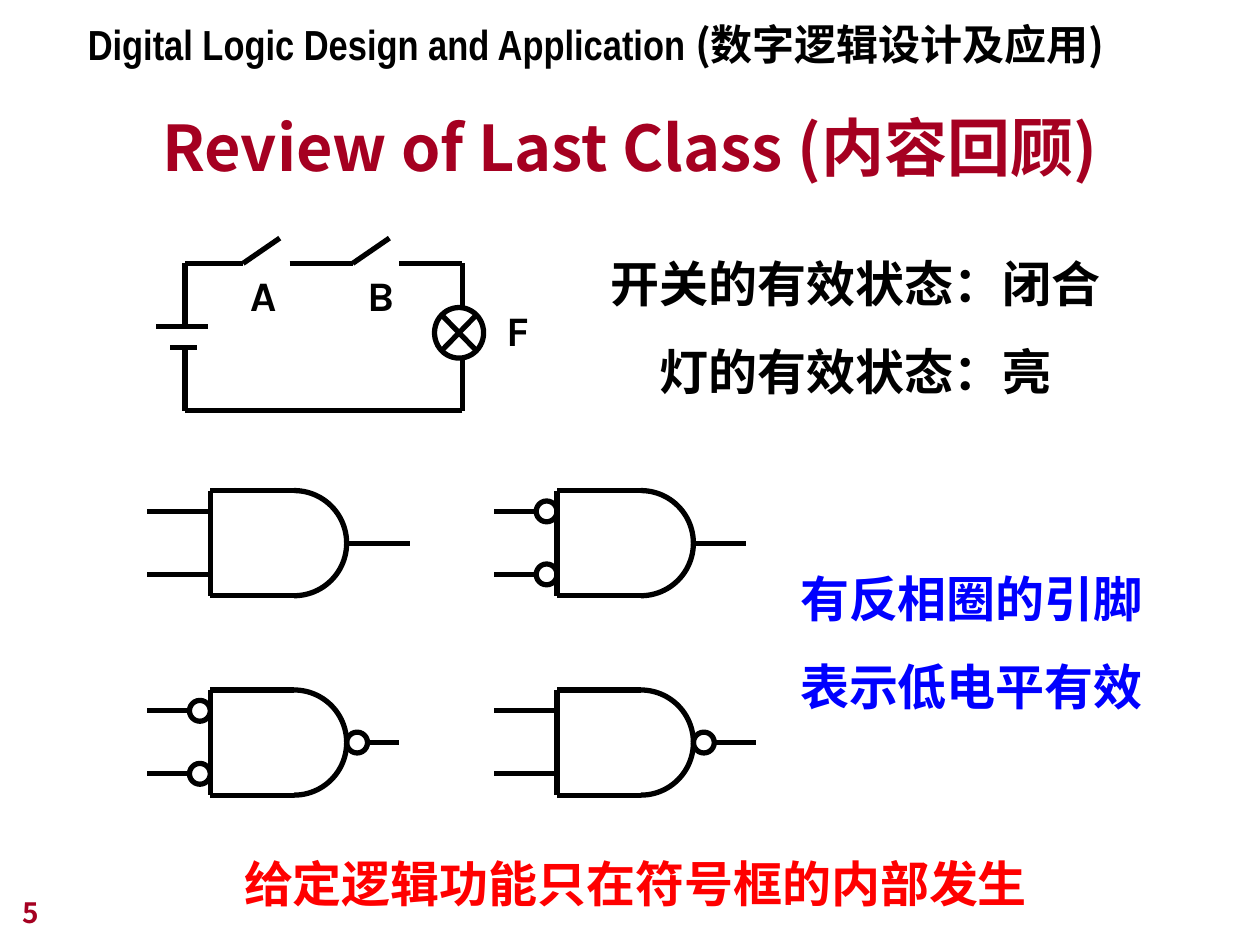
"""Build the review slide on switch circuits and active-low logic gates."""
from lxml import etree
from pptx import Presentation
from pptx import util as u
from pptx.dml.color import RGBColor
from pptx.enum import shapes, text
from pptx.oxml.ns import qn

COLORS = {"ink": "000000", "note": "0000FF", "rule": "FF0000", "title": "A50021"}
KARLA, NARROW, NOTO = "Karla", "Arial Narrow", "Noto Sans CJK JP"
LEFT, CENTER = text.PP_ALIGN.LEFT, text.PP_ALIGN.CENTER
TOP, BOTTOM = text.MSO_ANCHOR.TOP, text.MSO_ANCHOR.BOTTOM

TEXTS = [
    ((11.63, 4.39, 11.23, 3.81), [[("开关的有效状态：闭合", KARLA)], [("灯的有效状态：亮", KARLA)]],
     28, "ink", CENTER, TOP, 1.5),
    ((4.8, 5.31, 1.02, 1.27), [[("A", KARLA)]], 24, "ink", LEFT, TOP, 1),
    ((7.16, 5.31, 1.07, 1.27), [[("B", KARLA)]], 24, "ink", LEFT, TOP, 1),
    ((9.96, 6.02, 0.99, 1.27), [[("F", KARLA)]], 24, "ink", LEFT, TOP, 1),
    ((15.88, 10.74, 8.26, 3.81), [[("有反相圈的引脚", NARROW)], [("表示低电平有效", NARROW)]],
     28, "note", LEFT, TOP, 1.5),
    ((4.67, 17.09, 16.8, 1.45), [[("给定逻辑功能只在符号框的内部发生", NARROW)]],
     28, "rule", LEFT, TOP, 1),
    ((1.9, 1.73, 21.59, 2.11), [[("Review of Last Class (内容回顾)", NOTO)]],
     36, "title", CENTER, BOTTOM, 1),
    ((1.52, 0.25, 21.36, 1.27),
     [[("Digital Logic Design and Application ", NARROW), ("(数字逻辑设计及应用)", NOTO)]],
     24, "ink", LEFT, TOP, 1),
    ((0.2, 17.58, 5.28, 1.27), [[("5", NOTO)]], 16, "title", LEFT, BOTTOM, 1),
]

BATTERY_X, LAMP_X, WIRE_TOP, WIRE_BOTTOM = 3.73, 9.32, 5.31, 8.28
PLATES = [(6.58, 3.15, 4.2), (7.01, 3.43, 3.98)]
SWITCHES = [(4.9, 5.84), (7.11, 8.05)]
BLADE = (0.74, -0.51)
LAMP = (8.76, 6.2, 0.99, 1.02)

GATES = [
    {"left": 4.24, "top": 9.89, "inverted_inputs": False, "inverted_output": False, "output_end": 8.26},
    {"left": 11.23, "top": 9.89, "inverted_inputs": True, "inverted_output": False, "output_end": 15.04},
    {"left": 4.24, "top": 13.91, "inverted_inputs": True, "inverted_output": True, "output_end": 8.05},
    {"left": 11.23, "top": 13.91, "inverted_inputs": False, "inverted_output": True, "output_end": 15.24},
]
FLAT, HEIGHT, LEAD, BUBBLE = 1.69, 2.12, 1.27, 0.42
PINS = (0.42, 1.69)


def ink(part):
    part.line.color.rgb = RGBColor.from_string(COLORS["ink"])
    part.line.width = u.Pt(3)


def wire(slide, x1, y1, x2, y2):
    lead = slide.shapes.add_connector(
        shapes.MSO_CONNECTOR.STRAIGHT, u.Cm(x1), u.Cm(y1), u.Cm(x2), u.Cm(y2))
    ink(lead)
    etree.SubElement(lead.element.spPr, qn("a:effectLst"))


def outline(slide, kind, *box):
    symbol = slide.shapes.add_shape(kind, *map(u.Cm, box))
    symbol.fill.background()
    symbol.shadow.inherit = False
    ink(symbol)
    return symbol


def draw_circuit(slide):
    (upper, *_), (lower, *_) = PLATES
    wire(slide, BATTERY_X, WIRE_TOP, BATTERY_X, upper)
    wire(slide, BATTERY_X, lower, BATTERY_X, WIRE_BOTTOM)
    for y, start, end in PLATES:
        wire(slide, start, y, end, y)
    start = BATTERY_X
    for hinge, contact in SWITCHES:
        wire(slide, start, WIRE_TOP, hinge, WIRE_TOP)
        wire(slide, hinge, WIRE_TOP, hinge + BLADE[0], WIRE_TOP + BLADE[1])
        start = contact
    wire(slide, start, WIRE_TOP, LAMP_X, WIRE_TOP)
    wire(slide, LAMP_X, WIRE_TOP, LAMP_X, LAMP[1])
    wire(slide, LAMP_X, LAMP[1] + LAMP[3], LAMP_X, WIRE_BOTTOM)
    wire(slide, LAMP_X, WIRE_BOTTOM, BATTERY_X, WIRE_BOTTOM)
    outline(slide, shapes.MSO_SHAPE.FLOWCHART_SUMMING_JUNCTION, *LAMP)


def draw_gate(slide, left, top, inverted_inputs, inverted_output, output_end):
    radius = HEIGHT / 2
    middle, nose, bottom = top + radius, left + FLAT + radius, top + HEIGHT
    curve = outline(slide, shapes.MSO_SHAPE.ARC, left + FLAT - radius, top, HEIGHT, HEIGHT)
    curve.adjustments[0], curve.adjustments[1] = 162, 54
    wire(slide, left, top, left + FLAT, top)
    wire(slide, left, bottom, left + FLAT, bottom)
    wire(slide, left, top, left, bottom)
    for pin in PINS:
        y = top + pin
        wire(slide, left - LEAD, y, left - BUBBLE * inverted_inputs, y)
        if inverted_inputs:
            outline(slide, shapes.MSO_SHAPE.OVAL, left - BUBBLE, y - BUBBLE / 2, BUBBLE, BUBBLE)
    wire(slide, nose + BUBBLE * inverted_output, middle, output_end, middle)
    if inverted_output:
        outline(slide, shapes.MSO_SHAPE.OVAL, nose, middle - BUBBLE / 2, BUBBLE, BUBBLE)


def write(slide, box, paragraphs, size, color, align, anchor, spacing):
    frame = slide.shapes.add_textbox(*map(u.Cm, box)).text_frame
    frame.word_wrap, frame.vertical_anchor = True, anchor
    for index, runs in enumerate(paragraphs):
        paragraph = frame.add_paragraph() if index else frame.paragraphs[0]
        paragraph.alignment, paragraph.line_spacing = align, spacing
        for words, face in runs:
            run = paragraph.add_run()
            run.text = words
            run.font.name, run.font.size, run.font.bold = face, u.Pt(size), True
            run.font.color.rgb = RGBColor.from_string(COLORS[color])


def main():
    deck = Presentation()
    deck.slide_width, deck.slide_height = u.Cm(25.4), u.Cm(19.05)
    slide = deck.slides.add_slide(deck.slide_layouts[6])
    draw_circuit(slide)
    for gate in GATES:
        draw_gate(slide, **gate)
    for entry in TEXTS:
        write(slide, *entry)
    deck.save("out.pptx")


if __name__ == "__main__":
    main()
